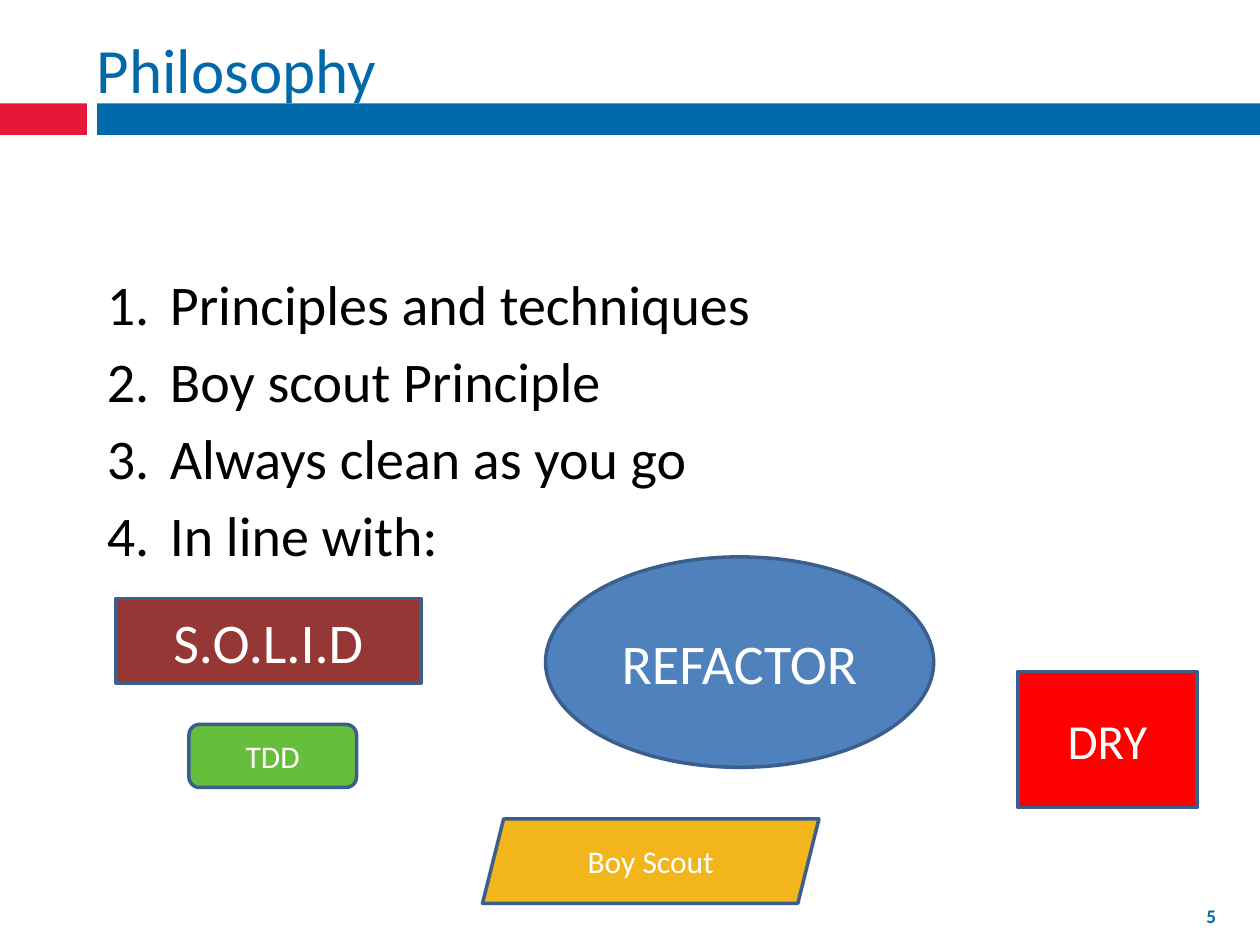
from dataclasses import dataclass

from lxml import etree
from pptx import Presentation
from pptx.dml.color import RGBColor
from pptx.enum.shapes import MSO_SHAPE
from pptx.enum.text import MSO_ANCHOR, PP_ALIGN
from pptx.oxml.ns import qn
from pptx.util import Inches, Pt

RECT, OVAL = MSO_SHAPE.RECTANGLE, MSO_SHAPE.OVAL
ROUNDED, SLANTED = MSO_SHAPE.ROUNDED_RECTANGLE, MSO_SHAPE.PARALLELOGRAM
TOP, MIDDLE = MSO_ANCHOR.TOP, MSO_ANCHOR.MIDDLE
LEFT, CENTER, RIGHT = PP_ALIGN.LEFT, PP_ALIGN.CENTER, PP_ALIGN.RIGHT

FONT = "Calibri"
BLUE = RGBColor(0x00, 0x69, 0xAA)
CRIMSON = RGBColor(0xE3, 0x19, 0x37)
BLACK = RGBColor(0x00, 0x00, 0x00)
WHITE = RGBColor(0xFF, 0xFF, 0xFF)
OUTLINE = RGBColor(0x3A, 0x5F, 0x8C)
MAROON = RGBColor(0x95, 0x37, 0x35)
STEEL = RGBColor(0x4F, 0x81, 0xBD)
GREEN = RGBColor(0x67, 0xBE, 0x3C)
RED = RGBColor(0xFF, 0x00, 0x00)
AMBER = RGBColor(0xF2, 0xB5, 0x1C)

Box = tuple[float, float, float, float]


@dataclass
class Block:
    kind: MSO_SHAPE
    box: Box
    fill: RGBColor
    text: str = ""
    size: int = 18
    outlined: bool = True


BARS = [
    Block(RECT, (0, 0.82, 0.69, 0.25), CRIMSON, outlined=False),
    Block(RECT, (0.77, 0.82, 9.25, 0.25), BLUE, outlined=False),
]
PRACTICES = [
    Block(RECT, (0.92, 4.75, 2.42, 0.67), MAROON, "S.O.L.I.D", 32),
    Block(OVAL, (4.33, 4.42, 3.08, 1.67), STEEL, "REFACTOR", 32),
    Block(ROUNDED, (1.5, 5.75, 1.33, 0.5), GREEN, "TDD"),
    Block(RECT, (8.08, 5.33, 1.42, 1.08), RED, "DRY", 28),
    Block(SLANTED, (3.83, 6.5, 2.67, 0.67), AMBER, "Boy Scout"),
]
POINTS = [
    "Principles and techniques",
    "Boy scout Principle",
    "Always clean as you go",
    "In line with:",
]


def write(sp, text: str, size: int, color: RGBColor, align=LEFT,
          anchor=MIDDLE, bold: bool = False):
    tf = sp.text_frame
    tf.text = text
    tf.word_wrap = True
    tf.vertical_anchor = anchor
    for p in tf.paragraphs:
        p.alignment = align
        for r in p.runs:
            r.font.name, r.font.size = FONT, Pt(size)
            r.font.color.rgb, r.font.bold = color, bold
    return tf


def add_text(s, box: Box, *args, **kwargs):
    sp = s.shapes.add_textbox(*map(Inches, box))
    return write(sp, *args, **kwargs)


def add_block(s, block: Block) -> None:
    sp = s.shapes.add_shape(block.kind, *map(Inches, block.box))
    sp.shadow.inherit = False
    sp.fill.solid()
    sp.fill.fore_color.rgb = block.fill
    if block.outlined:
        sp.line.color.rgb = OUTLINE
        sp.line.width = Pt(2)
    else:
        sp.line.fill.background()
    if block.text:
        write(sp, block.text, block.size, WHITE, CENTER)


def number(p) -> None:
    pPr = p._p.get_or_add_pPr()
    pPr.set("marL", str(Inches(0.5)))
    pPr.set("indent", str(Inches(-0.5)))
    etree.SubElement(pPr, qn("a:buFont"), typeface="+mj-lt")
    etree.SubElement(pPr, qn("a:buAutoNum"), type="arabicPeriod")


prs = Presentation()
prs.slide_width, prs.slide_height = Inches(10), Inches(7.5)
s = prs.slides.add_slide(prs.slide_layouts[6])

# Header bars, page number and title
for bar in BARS:
    add_block(s, bar)
add_text(s, (8.67, 7.13, 1.08, 0.29), "5", 11, BLUE, RIGHT, TOP, bold=True)
add_text(s, (0.67, 0.17, 7.92, 0.75), "Philosophy", 36, BLUE)

# Numbered list
tf = add_text(s, (0.75, 1.25, 9, 5.25), "\n".join(POINTS), 32, BLACK, anchor=TOP)
tf.margin_top = Inches(0.89)
for i, p in enumerate(tf.paragraphs):
    p.space_before = Pt(5.5 if i else 0)
    number(p)

# Related practices
for practice in PRACTICES:
    add_block(s, practice)

prs.save("out.pptx")
